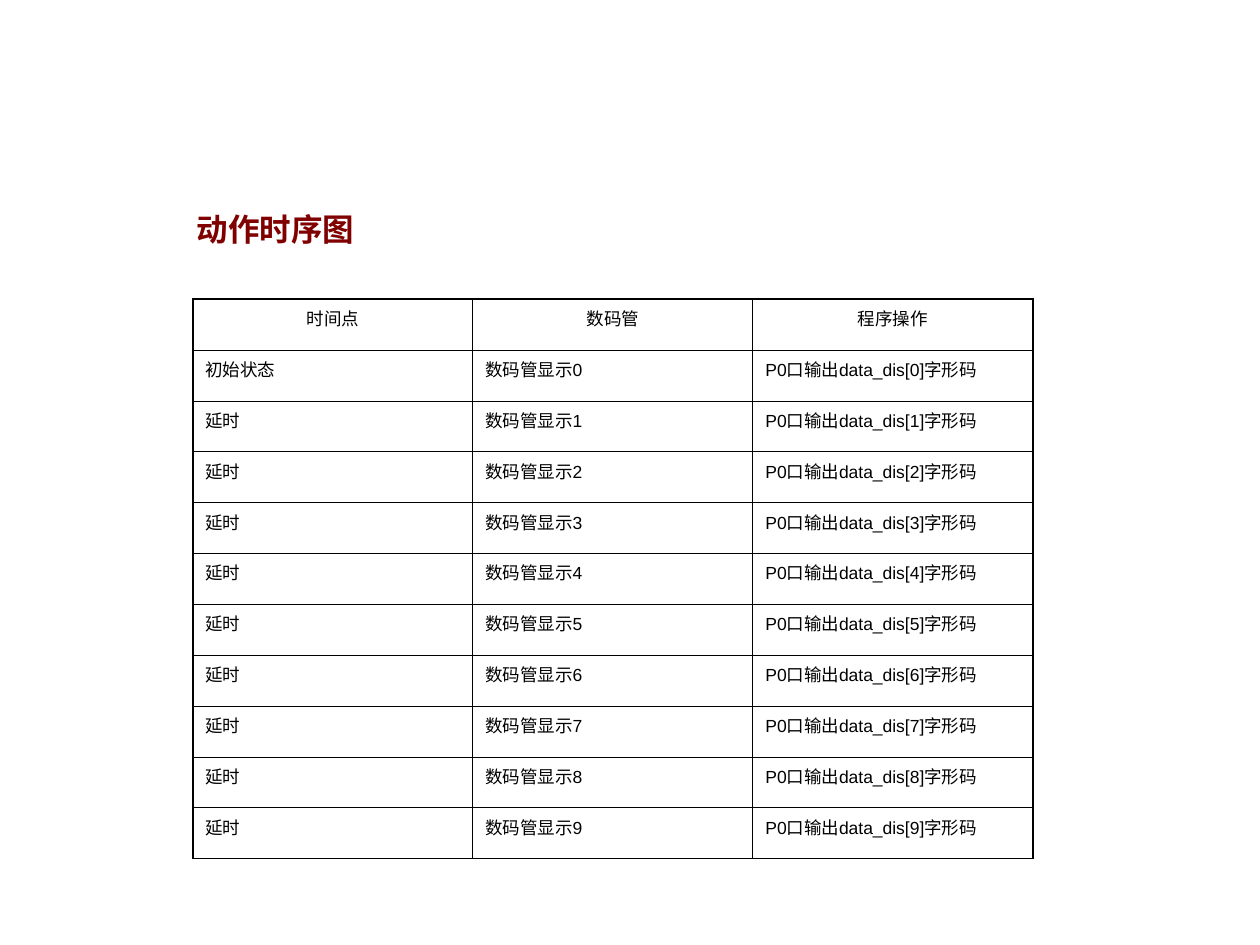
from lxml import etree
from pptx import Presentation
from pptx.dml.color import RGBColor
from pptx.enum.text import MSO_ANCHOR, MSO_AUTO_SIZE, PP_ALIGN
from pptx.oxml.ns import qn
from pptx.util import Pt

LEFT, CENTER = PP_ALIGN.LEFT, PP_ALIGN.CENTER
TOP = MSO_ANCHOR.TOP
BLACK = RGBColor(0x00, 0x00, 0x00)
MAROON = RGBColor(0x80, 0x00, 0x00)

HEADING = "动作时序图"
HEADERS = ("时间点", "数码管", "程序操作")
STEPS = [
    ("延时" if digit else "初始状态", f"数码管显示{digit}", f"P0口输出data_dis[{digit}]字形码")
    for digit in range(10)
]
ROWS = [HEADERS, *STEPS]

HEADING_FONT = {"name": "Arial", "size": Pt(18), "bold": True}
CELL_FONT = {"name": "Arial", "size": Pt(10), "bold": False}
TABLE_LEFT, TABLE_TOP = 110.2, 171
COLUMN_WIDTH, ROW_HEIGHT = 160, 29.08
OUTER_LINE, INNER_LINE = Pt(1.08), Pt(0.45)


def format_paragraph(paragraph, font_values, color, alignment):
    paragraph.alignment = alignment
    for attribute, value in font_values.items():
        setattr(paragraph.font, attribute, value)
    paragraph.font.color.rgb = color


def add_border(cell, side, width):
    properties = cell._tc.get_or_add_tcPr()
    line = etree.SubElement(properties, qn(f"a:ln{side}"), w=str(int(width)))
    fill = etree.SubElement(line, qn("a:solidFill"))
    etree.SubElement(fill, qn("a:srgbClr"), val=str(BLACK))


def add_heading(slide):
    heading = slide.shapes.title
    heading.left, heading.top = Pt(105.1), Pt(116.6)
    heading.width, heading.height = Pt(113), Pt(29)
    frame = heading.text_frame
    frame.text = HEADING
    frame.auto_size = MSO_AUTO_SIZE.NONE
    frame.word_wrap = False
    frame.vertical_anchor = TOP
    format_paragraph(frame.paragraphs[0], HEADING_FONT, MAROON, LEFT)


def add_sequence_table(slide):
    row_count, column_count = len(ROWS), len(HEADERS)
    table = slide.shapes.add_table(
        row_count, column_count, Pt(TABLE_LEFT), Pt(TABLE_TOP),
        Pt(COLUMN_WIDTH * column_count), Pt(ROW_HEIGHT * row_count),
    ).table
    table.first_row = table.horz_banding = False
    for r, row in enumerate(ROWS):
        table.rows[r].height = Pt(ROW_HEIGHT)
        for c, wording in enumerate(row):
            cell = table.cell(r, c)
            cell.text = wording
            cell.vertical_anchor = TOP
            format_paragraph(cell.text_frame.paragraphs[0], CELL_FONT, BLACK,
                             LEFT if r else CENTER)
            on_edge = {"L": c == 0, "R": c == column_count - 1,
                       "T": r == 0, "B": r == row_count - 1}
            for side, outer in on_edge.items():
                add_border(cell, side, OUTER_LINE if outer else INNER_LINE)
            cell.fill.background()


def main():
    presentation = Presentation()
    presentation.slide_width, presentation.slide_height = Pt(720), Pt(540)
    slide = presentation.slides.add_slide(presentation.slide_layouts[5])
    add_heading(slide)
    add_sequence_table(slide)
    presentation.save("out.pptx")


if __name__ == "__main__":
    main()
